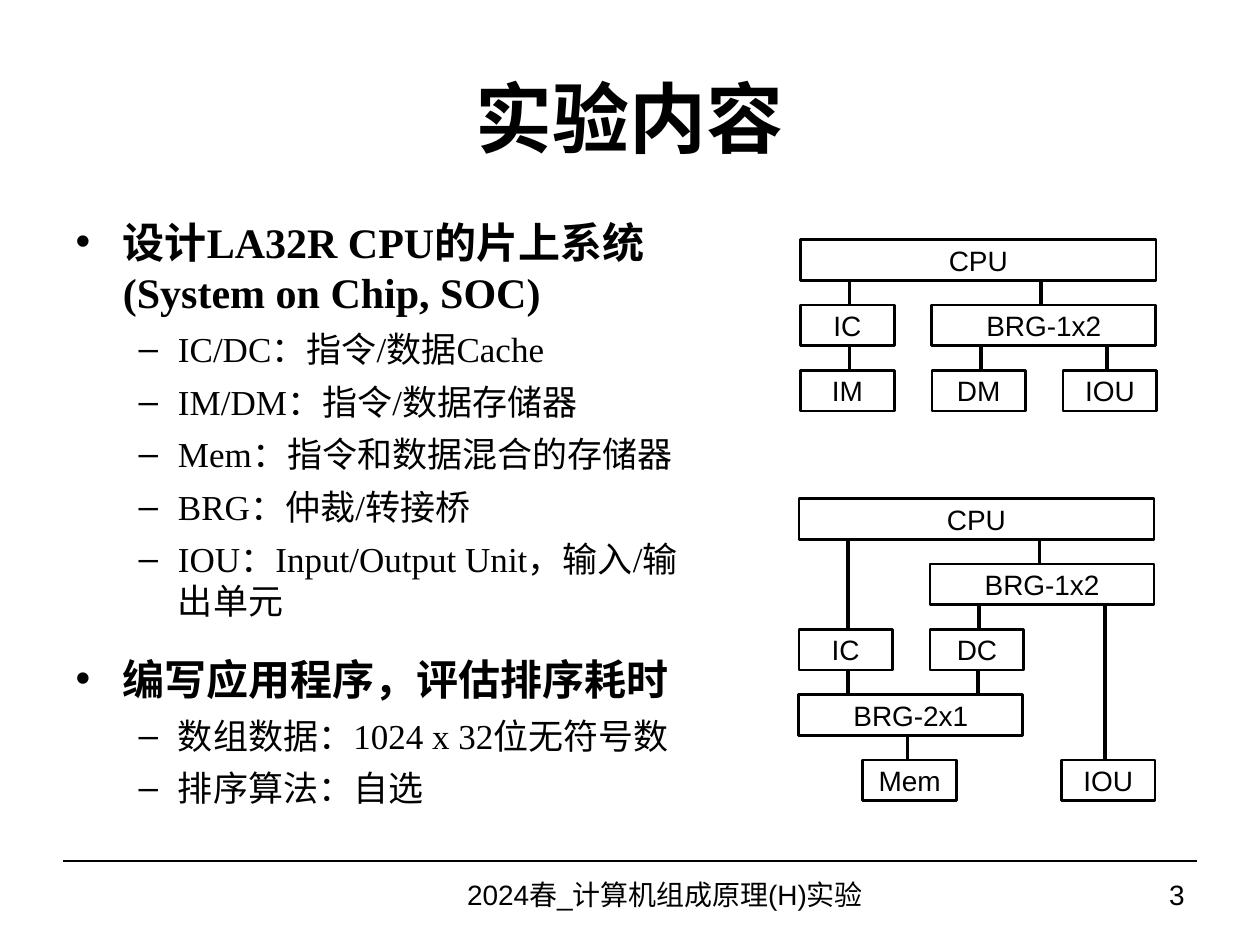
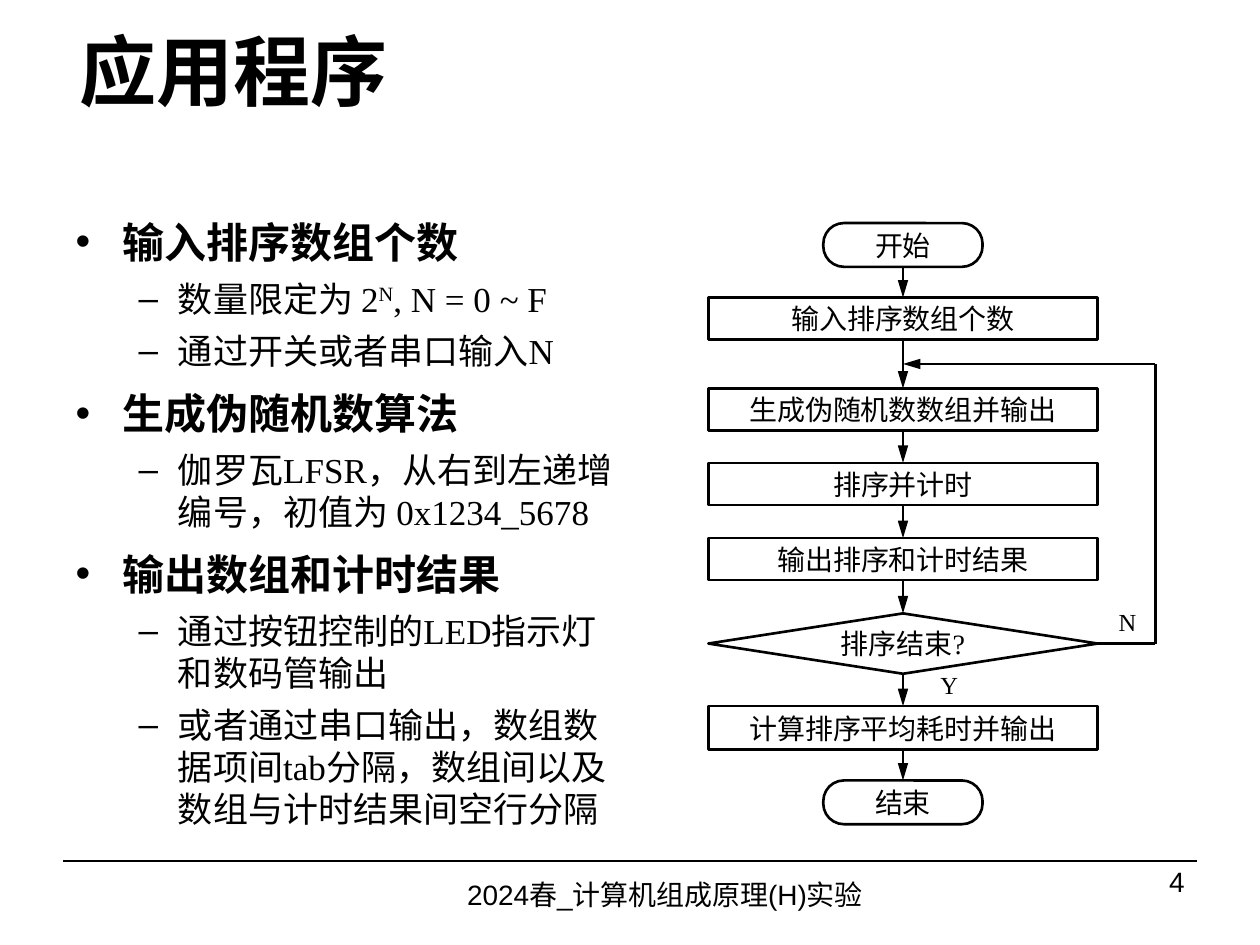
from itertools import pairwise

from lxml import etree
from pptx import Presentation
from pptx.dml.color import RGBColor
from pptx.enum import shapes, text
from pptx.oxml import ns
from pptx.util import Pt

HUES = {"ink": "000000"}
SANS, SERIF = "Arial", "Times New Roman"
MID, LEFT, RIGHT = text.PP_ALIGN.CENTER, text.PP_ALIGN.LEFT, text.PP_ALIGN.RIGHT
RECT = shapes.MSO_SHAPE.RECTANGLE
ROUND = shapes.MSO_SHAPE.ROUNDED_RECTANGLE
RHOMB = shapes.MSO_SHAPE.DIAMOND

GOALS = [
    (0, 0, ["设计LA32R CPU的片上系统 (System on Chip, SOC)"]),
    (1, 0, ["IC/DC：指令/数据Cache"]),
    (1, 0, ["IM/DM：指令/数据存储器"]),
    (1, 0, ["Mem：指令和数据混合的存储器"]),
    (1, 0, ["BRG：仲裁/转接桥"]),
    (1, 0, ["IOU：Input/Output Unit，输入/输出单元"]),
    (0, 12, ["编写应用程序，评估排序耗时"]),
    (1, 0, ["数组数据：1024 x 32位无符号数"]),
    (1, 0, ["排序算法：自选"]),
]
TASKS = [
    (0, 0, ["输入排序数组个数"]),
    (1, 0, ["数量限定为 2", "^N", ", N = 0 ~ F"]),
    (1, 0, ["通过开关或者串口输入N"]),
    (0, 3, ["生成伪随机数算法"]),
    (1, 0, ["伽罗瓦LFSR，从右到左递增编号，初值为 0x1234_5678"]),
    (0, 3, ["输出数组和计时结果"]),
    (1, 0, ["通过按钮控制的LED指示灯和数码管输出"]),
    (1, 0, ["或者通过串口输出，数组数据项间tab分隔，数组间以及数组与计时结果间空行分隔"]),
]

UNIT, WIDE, FULL = 53.5, 128, 203
SPLIT = (
    [("CPU", 0, 0, FULL), ("IC", 0, 1, UNIT), ("BRG-1x2", 75, 1, WIDE),
     ("IM", 0, 2, UNIT), ("DM", 75, 2, UNIT), ("IOU", 150, 2, UNIT)],
    [(28, 0, 1), (137.5, 0, 1), (28, 1, 2), (103, 1, 2), (175, 1, 2)],
)
MIXED = (
    [("CPU", 0, 0, FULL), ("BRG-1x2", 75, 1, WIDE), ("IC", 0, 2, UNIT),
     ("DC", 75, 2, UNIT), ("BRG-2x1", 0, 3, WIDE), ("Mem", 36.5, 4, UNIT),
     ("IOU", 150, 4, UNIT)],
    [(28, 0, 2), (137.5, 0, 1), (103, 1, 2), (28, 2, 3), (102.5, 2, 3),
     (62, 3, 4), (175, 1, 4)],
)
STEPS = [
    ("开始", ROUND, 0, 25),
    ("输入排序数组个数", RECT, 17.5, 24),
    ("生成伪随机数数组并输出", RECT, 28, 24),
    ("排序并计时", RECT, 18.5, 24),
    ("输出排序和计时结果", RECT, 19, 24),
    ("排序结束?", RHOMB, 19, 34.5),
    ("计算排序平均耗时并输出", RECT, 18.5, 25),
    ("结束", ROUND, 17.5, 25),
]


def tint(name):
    """Return a named colour."""
    return RGBColor.from_string(HUES[name])


def write(para, words, size, face, bold=False):
    """Add one styled run; a leading caret makes it superscript."""
    run = para.add_run()
    run.text = words.removeprefix("^")
    font = run.font
    font.size, font.name, font.bold = Pt(size), face, bold
    font.color.rgb = tint("ink")
    if words.startswith("^"):
        run._r.get_or_add_rPr().set("baseline", "30000")


def place(item, box):
    """Move a shape to a box in points."""
    item.left, item.top, item.width, item.height = map(Pt, box)


def label(item, words, size, face, align=MID, pad=0):
    """Write one unwrapped line, centred in height."""
    frame = item.text_frame
    frame.word_wrap = False
    frame.vertical_anchor = text.MSO_ANCHOR.MIDDLE
    frame.margin_left = frame.margin_right = Pt(pad)
    frame.margin_top = frame.margin_bottom = 0
    para = frame.paragraphs[0]
    para.alignment = align
    write(para, words, size, face)


def note(pool, box, words, size, face, align=MID, pad=0):
    """Add a plain line of text."""
    item = pool.add_textbox(*map(Pt, box))
    label(item, words, size, face, align, pad)


def node(pool, kind, box, words, face):
    """Add an outlined shape with a centred name."""
    item = pool.add_shape(kind, *map(Pt, box))
    item.shadow.inherit = False
    item.fill.background()
    item.line.color.rgb = tint("ink")
    item.line.width = Pt(1.5)
    label(item, words, 16, face)
    return item


def link(pool, start, end, width, arrow=False):
    """Add a straight line, with an arrowhead if asked."""
    item = pool.add_connector(shapes.MSO_CONNECTOR.STRAIGHT, *map(Pt, start + end))
    item.line.color.rgb = tint("ink")
    item.line.width = Pt(width)
    if arrow:
        etree.SubElement(item.line._get_or_add_ln(), ns.qn("a:tailEnd"),
                         type="triangle", w="med", len="lg")
    etree.SubElement(item._element.spPr, ns.qn("a:effectLst"))


def head(slide, words, box, align):
    """Fill the title."""
    title = slide.shapes.title
    place(title, box)
    frame = title.text_frame
    frame.auto_size = text.MSO_AUTO_SIZE.NONE
    frame.vertical_anchor = text.MSO_ANCHOR.MIDDLE
    para = frame.paragraphs[0]
    para.alignment = align
    write(para, words, 44, SANS, True)


def points(slide, items, box):
    """Fill the body with a list of two levels."""
    body = slide.placeholders[1]
    place(body, box)
    frame = body.text_frame
    frame.auto_size = text.MSO_AUTO_SIZE.NONE
    for rank, (level, before, runs) in enumerate(items):
        para = frame.add_paragraph() if rank else frame.paragraphs[0]
        para.level = level
        para.space_before, para.space_after = Pt(before), Pt(6)
        for words in runs:
            write(para, words, 20 if level else 24, SERIF, not level)


def foot(slide, page, top):
    """Draw the rule, course name and page number."""
    pool = slide.shapes
    link(pool, (36, 492), (684, 492), 0.75)
    note(pool, (203, 492, 354, 37.5), "2024春_计算机组成原理(H)实验", 16, SANS)
    note(pool, (558, top, 126, 37.5), str(page), 16, SANS, RIGHT, 7.2)


def chip(slide, plan, left, top):
    """Draw a block diagram on evenly spaced rows."""
    pool = slide.shapes.add_group_shape().shapes
    pitch, high = 37.3, 23.3
    blocks, wires = plan
    for name, x, row, wide in blocks:
        node(pool, RECT, (left + x, top + row * pitch, wide, high), name, SANS)
    for x, upper, lower in wires:
        link(pool, (left + x, top + upper * pitch + high),
             (left + x, top + lower * pitch), 2)


def flow(slide, left, top, wide):
    """Draw the flow chart with its loop back."""
    pool = slide.shapes.add_group_shape().shapes
    axis, edge, y = left + wide / 2, left + wide + 33, top
    spans = []
    for words, kind, gap, high in STEPS:
        y += gap
        size = 91 if kind == ROUND else wide
        item = node(pool, kind, (axis - size / 2, y, size, high), words, SERIF)
        if kind == ROUND:
            item.adjustments[0] = 0.47
        spans.append((y, y + high))
        y += high
    for upper, lower in pairwise(spans):
        link(pool, (axis, upper[1]), (axis, lower[0]), 1.5, True)
    back = (spans[1][1] + spans[2][0]) / 2
    test = sum(spans[5]) / 2
    link(pool, (left + wide, test), (edge, test), 1.5)
    link(pool, (edge, test), (edge, back), 1.5)
    link(pool, (edge, back), (axis, back), 1.5, True)
    note(pool, (edge - 29.5, test - 25, 27, 25), "N", 14, SERIF)
    note(pool, (axis - 4, spans[5][1] - 2.5, 61, 18), "Y", 14, SERIF)


def main():
    """Build both slides."""
    deck = Presentation()
    deck.slide_width, deck.slide_height = Pt(720), Pt(540)
    plain = deck.slide_layouts[1]

    slide = deck.slides.add_slide(plain)
    head(slide, "实验内容", (36, 21.6, 648, 90), MID)
    points(slide, GOALS, (36, 120, 370, 371.5))
    foot(slide, 3, 492)
    chip(slide, MIXED, 456.5, 285)
    chip(slide, SPLIT, 457.5, 137)

    slide = deck.slides.add_slide(plain)
    head(slide, "应用程序", (38, 4, 648, 72), LEFT)
    points(slide, TASKS, (36, 120, 331, 371.5))
    foot(slide, 4, 485)
    flow(slide, 404.75, 127.5, 222.5)

    deck.save("out.pptx")


if __name__ == "__main__":
    main()
